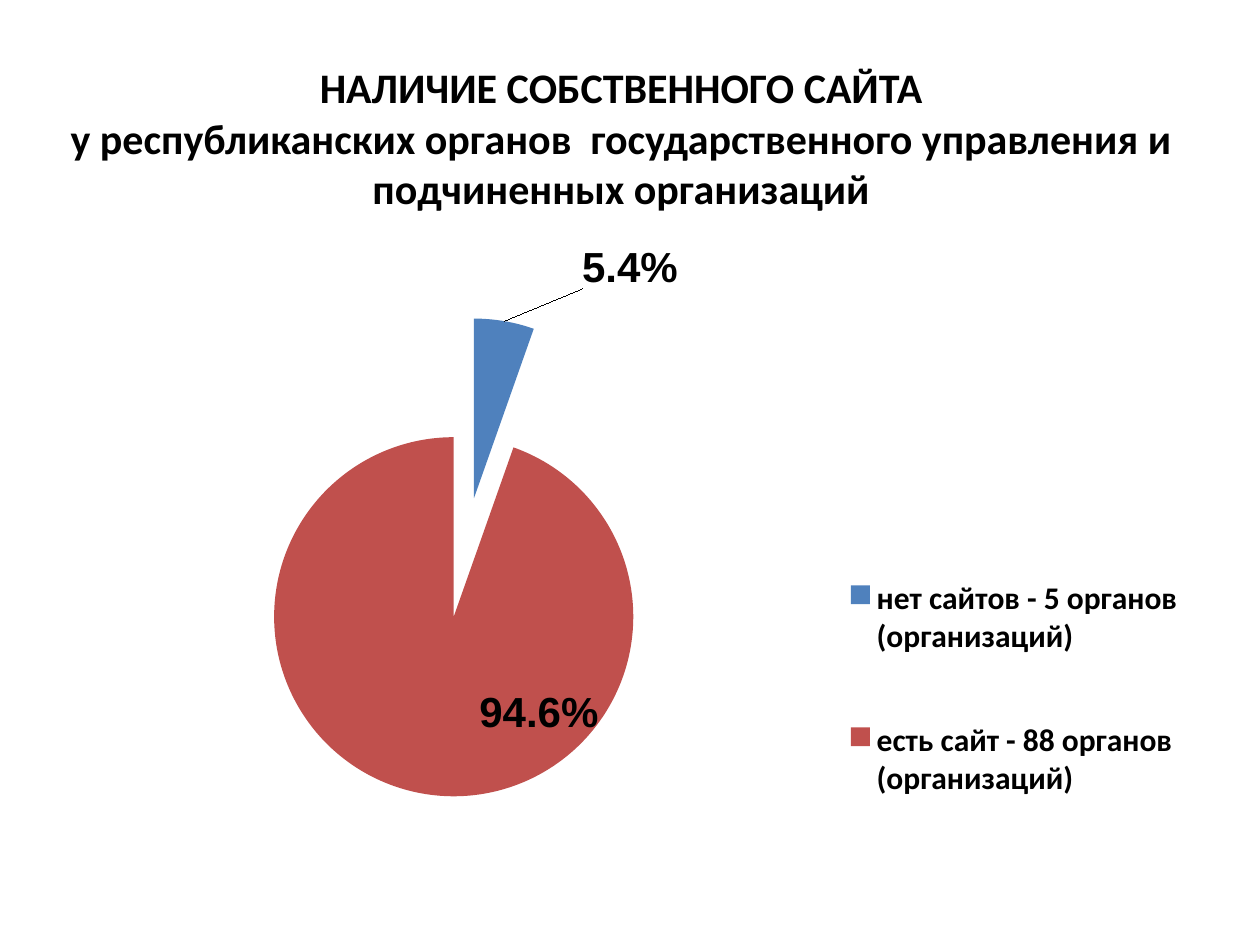
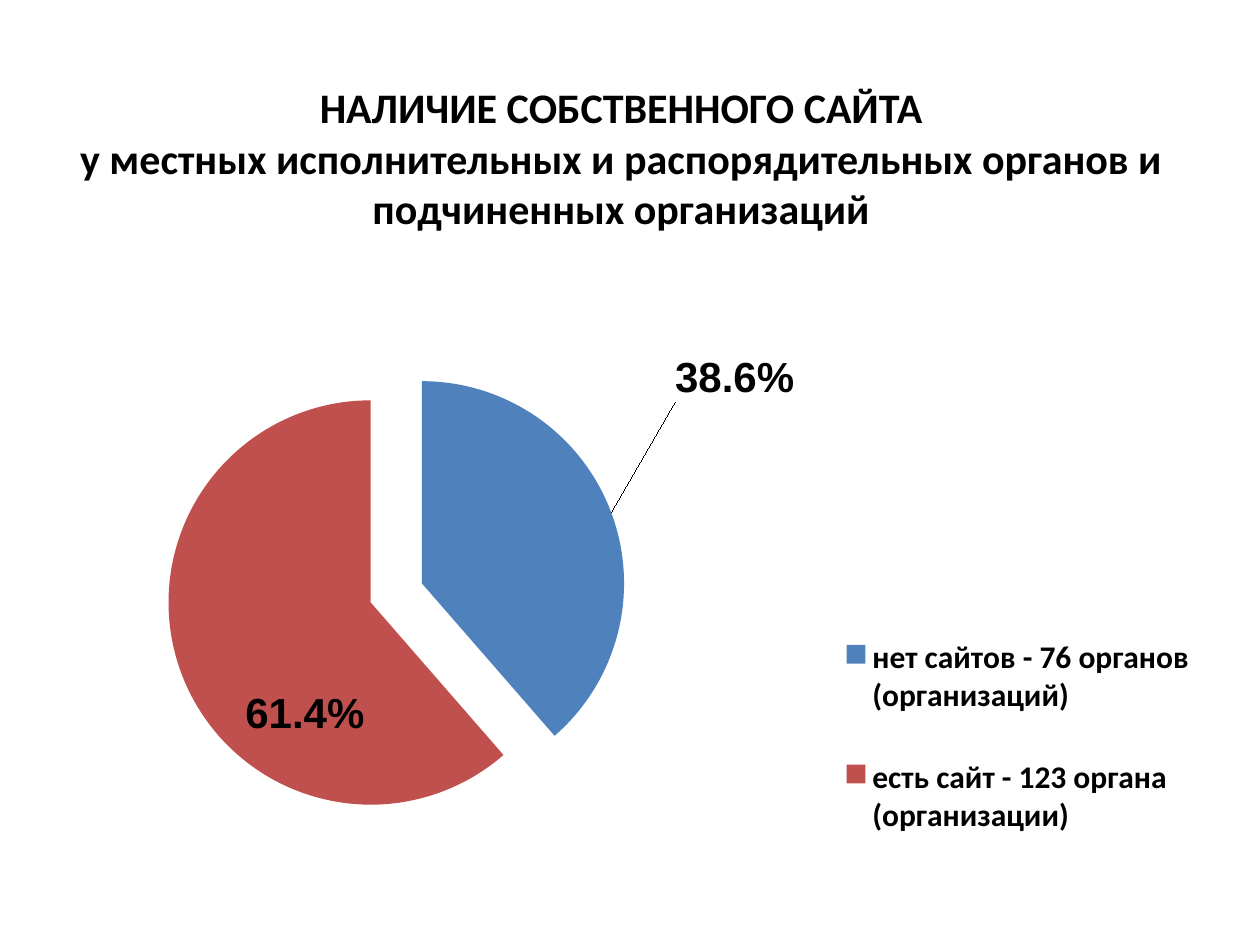
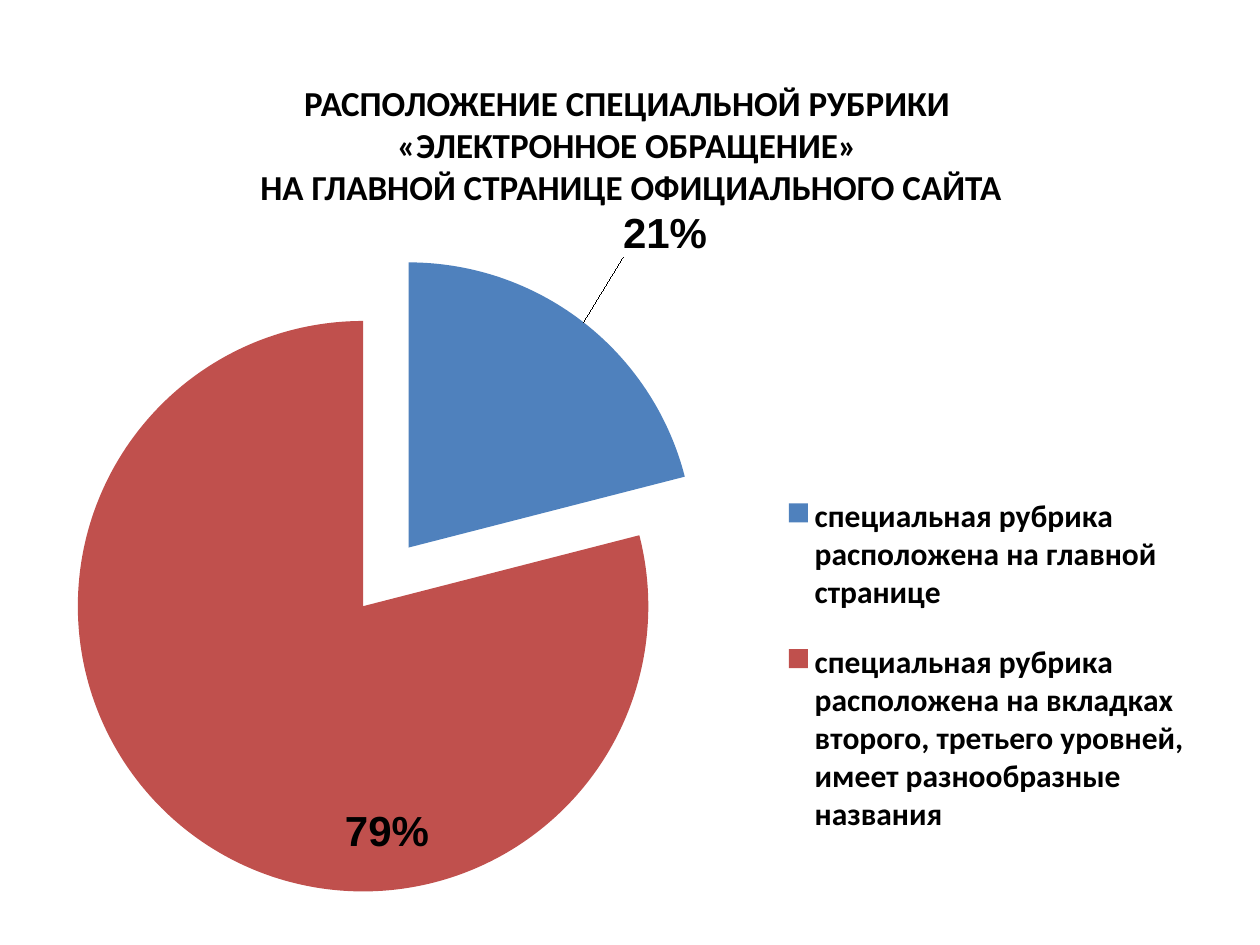
import copy

import lxml.etree
import pptx
import pptx.chart.data
import pptx.dml.color
import pptx.enum.chart
import pptx.enum.text
import pptx.oxml.ns
import pptx.util
from pptx.util import Inches

COLORS = {"text": "000000", "no": "4F81BD", "yes": "C0504D"}
TITLE_ONLY = 5


def rgb(name):
    return pptx.dml.color.RGBColor.from_string(COLORS[name])


def element(tag, val=None):
    el = lxml.etree.Element(pptx.oxml.ns.qn(tag))
    if val is not None:
        el.set("val", str(val))
    return el


def manual_layout(numbers, modes=()):
    """Return a c:layout for x, y and, when given, w and h."""
    layout = element("c:layout")
    manual = lxml.etree.SubElement(layout, pptx.oxml.ns.qn("c:manualLayout"))
    for tag, val in modes:
        manual.append(element(tag, val))
    for name, val in zip("xywh", numbers):
        manual.append(element("c:" + name, val))
    return layout


class Deck:
    """The shared style and the current slide."""

    edge = (("c:xMode", "edge"), ("c:yMode", "edge"))

    def __init__(self):
        self.prs = pptx.Presentation()
        self.prs.slide_width, self.prs.slide_height = Inches(10), Inches(7.5)

    def new_slide(self):
        self.s = self.prs.slides.add_slide(self.prs.slide_layouts[TITLE_ONLY])

    def font(self, font, name, size):
        font.name, font.size, font.bold = name, pptx.util.Pt(size), True
        font.color.rgb = rgb("text")

    def title(self, text, box, size):
        sp = self.s.shapes.title
        sp.left, sp.top, sp.width, sp.height = map(Inches, box)
        tf = sp.text_frame
        tf.text = text
        tf.word_wrap = True
        tf.auto_size = pptx.enum.text.MSO_AUTO_SIZE.NONE
        tf.vertical_anchor = pptx.enum.text.MSO_ANCHOR.MIDDLE
        for p in tf.paragraphs:
            p.alignment = pptx.enum.text.PP_ALIGN.CENTER
            for r in p.runs:
                self.font(r.font, "Calibri", size)

    def pie(self, box, cats, vals, fmt, plot, legend, explode, label_shifts):
        """explode holds the percentage of the series and of its first slice."""
        data = pptx.chart.data.CategoryChartData(number_format=fmt)
        data.categories = cats
        data.add_series("Series 1", vals)
        chart = self.s.shapes.add_chart(
            pptx.enum.chart.XL_CHART_TYPE.PIE, *map(Inches, box), data).chart
        chart.has_title = False
        chart.font.name, chart.font.size = "Calibri", pptx.util.Pt(10)
        chart.plots[0].vary_by_categories = True
        series = chart.plots[0].series[0]

        # Slices
        for i, name in enumerate(("no", "yes")):
            fill = series.points[i].format.fill
            fill.solid()
            fill.fore_color.rgb = rgb(name)
        ser = series._element
        first = ser.find(pptx.oxml.ns.qn("c:dPt"))
        first.addprevious(element("c:explosion", explode[0]))
        first.find(pptx.oxml.ns.qn("c:spPr")).addprevious(
            element("c:explosion", explode[1]))

        # Labels: the first moved from outside its slice, the second from inside
        labels = series.data_labels
        labels.show_value = True
        labels.number_format, labels.number_format_is_linked = fmt, False
        labels.position = pptx.enum.chart.XL_LABEL_POSITION.OUTSIDE_END
        self.font(labels.font, "Arial", 24)
        group = ser.find(pptx.oxml.ns.qn("c:dLbls"))
        shared = [el for el in group if not el.tag.endswith("LeaderLines")]
        for i, (place, shift) in enumerate(zip(("outEnd", "inEnd"), label_shifts)):
            label = element("c:dLbl")
            label.append(element("c:idx", i))
            label.append(manual_layout(shift))
            label.extend(copy.deepcopy(shared))
            label.find(pptx.oxml.ns.qn("c:dLblPos")).set("val", place)
            group.insert(i, label)

        # Legend and plot places
        chart.has_legend = True
        chart.legend.position = pptx.enum.chart.XL_LEGEND_POSITION.RIGHT
        chart.legend.include_in_layout = False
        self.font(chart.legend.font, "Calibri", 18)
        places = (("c:legend", legend, self.edge),
                  ("c:plotArea", plot, (("c:layoutTarget", "inner"),) + self.edge))
        for tag, numbers, modes in places:
            parent = next(chart._chartSpace.iter(pptx.oxml.ns.qn(tag)))
            for old in parent.findall(pptx.oxml.ns.qn("c:layout")):
                parent.remove(old)
            parent.insert(1 if tag == "c:legend" else 0,
                          manual_layout(numbers, modes))


def main():
    deck = Deck()

    # State bodies
    deck.new_slide()
    deck.title("НАЛИЧИЕ СОБСТВЕННОГО САЙТА\vу республиканских органов  "
               "государственного управления и подчиненных организаций",
               (0.43, 0.42, 9, 1.34), 24)
    deck.pie((0.75, 1.94, 8.69, 4.96),
             ("нет сайтов - 5 органов (организаций)",
              "есть сайт - 88 органов (организаций)"),
             (0.054, 0.946), "0.0%",
             plot=(0.13, 0.16, 0.41, 0.73), legend=(0.68, 0.43, 0.32, 0.56),
             explode=(25, 42), label_shifts=((0.07, -0.04), (0.05, -0.08)))

    # Local bodies
    deck.new_slide()
    deck.title("НАЛИЧИЕ СОБСТВЕННОГО САЙТА\vу местных исполнительных и "
               "распорядительных органов и подчиненных организаций",
               (0.43, 0.58, 9, 1.34), 24)
    deck.pie((0.51, 1.78, 9.06, 5.35),
             ("нет сайтов - 76 органов (организаций)",
              "есть сайт - 123 органа (организации)"),
             (0.386, 0.614), "0.0%",
             plot=(0.04, 0.16, 0.54, 0.75), legend=(0.69, 0.55, 0.31, 0.42),
             explode=(25, 2), label_shifts=((0.05, -0.16), (0.05, 0.1)))

    # Place of the special section
    deck.new_slide()
    deck.title("РАСПОЛОЖЕНИЕ СПЕЦИАЛЬНОЙ РУБРИКИ \n"
               "«ЭЛЕКТРОННОЕ ОБРАЩЕНИЕ» \n"
               "НА ГЛАВНОЙ СТРАНИЦЕ ОФИЦИАЛЬНОГО САЙТА",
               (0.51, 0.6, 9, 1.1), 20)
    deck.pie((0.35, 1.23, 9.29, 5.87),
             ("специальная рубрика расположена на главной странице",
              "специальная рубрика расположена на вкладках второго, "
              "третьего уровней, имеет разнообразные названия"),
             (0.21, 0.79), "0%",
             plot=(0, 0.19, 0.56, 0.81), legend=(0.62, 0.42, 0.37, 0.54),
             explode=(5, 21), label_shifts=((0.03, -0.08), (0.13, 0.04)))

    deck.prs.save("out.pptx")


if __name__ == "__main__":
    main()
